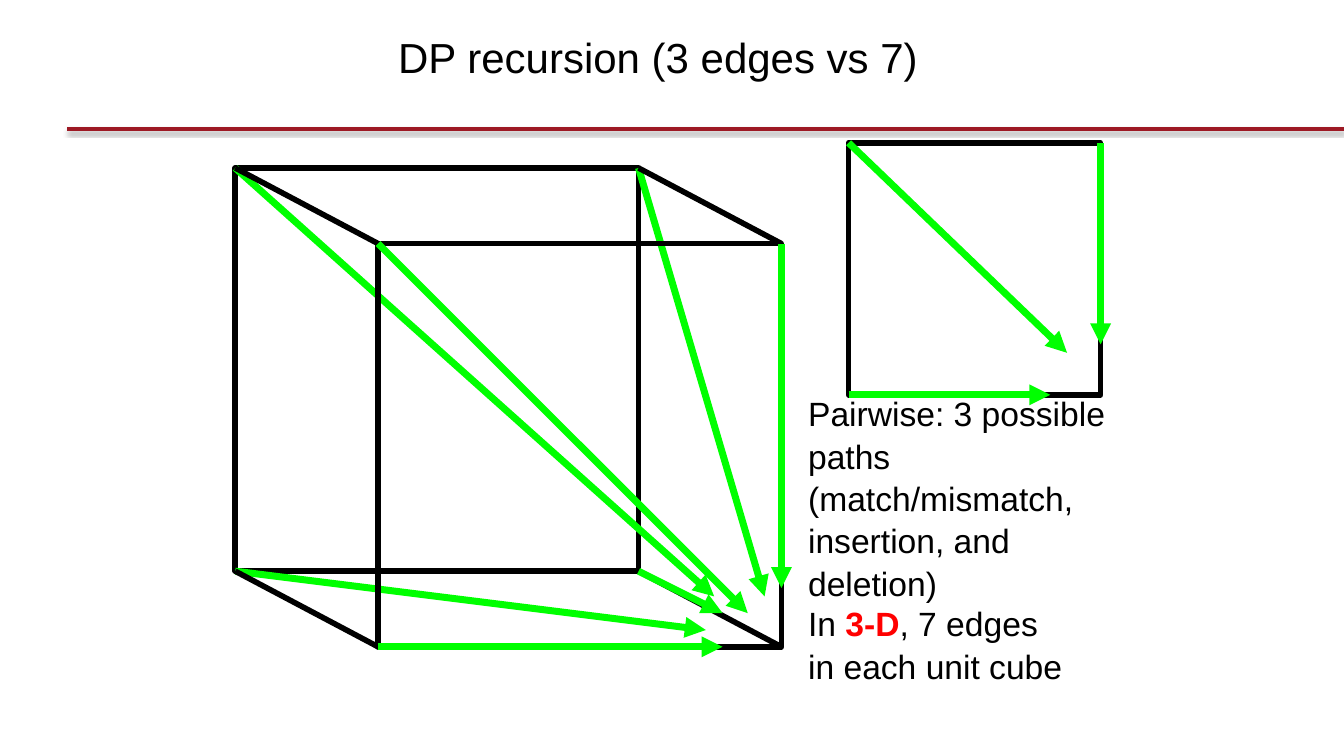
from lxml import etree
from pptx import Presentation, util as u
from pptx.dml.color import RGBColor
from pptx.enum import shapes, text
from pptx.oxml import ns

theme = {
    "font": "Arial", "title": 30, "body": 24,
    "ink": "000000", "path": "00FF00", "rule": "9D1924", "key": "FF0000",
    "edge": 4, "arrow": 5, "bar": 3,
}
cell = u.Inches(1) / 12

deck = Presentation()
deck.slide_width, deck.slide_height = u.Inches(13.33), u.Inches(7.5)
slide = deck.slides.add_slide(deck.slide_layouts[5])


def link(start, end, hue, width, head=False):
    ends = [round(n * cell) for n in (*start, *end)]
    line = slide.shapes.add_connector(shapes.MSO_CONNECTOR.STRAIGHT, *ends)
    line.line.color.rgb = RGBColor.from_string(theme[hue])
    line.line.width = u.Pt(theme[width])
    if head:
        etree.SubElement(line.line._get_or_add_ln(), ns.qn("a:tailEnd"), type="triangle")
    return etree.SubElement(line._element.spPr, ns.qn("a:effectLst"))


def write(para, words, size, hue="ink", bold=False):
    run = para.add_run()
    run.text = words
    looks = {"name": theme["font"], "size": u.Pt(theme[size]), "bold": bold}
    for key, value in looks.items():
        setattr(run.font, key, value)
    run.font.color.rgb = RGBColor.from_string(theme[hue])


glow = link((8, 15.4), (160, 15.4), "rule", "bar")
shade = etree.SubElement(glow, ns.qn("a:outerShdw"), blurRad=str(u.Pt(3.1)),
                         dist=str(u.Pt(1.6)), dir="5400000", rotWithShape="0")
black = etree.SubElement(shade, ns.qn("a:srgbClr"), val=theme["ink"])
etree.SubElement(black, ns.qn("a:alpha"), val="38000")

title = slide.shapes.title
place = {"left": 2.67, "top": 0.3, "width": 7.83, "height": 0.59}
for key, value in place.items():
    setattr(title, key, u.Inches(value))
frame = title.text_frame
layout = {"margin_left": 0, "margin_right": 0, "margin_top": 0, "margin_bottom": 0,
          "word_wrap": True, "vertical_anchor": text.MSO_ANCHOR.MIDDLE}
for key, value in layout.items():
    setattr(frame, key, value)
head = frame.paragraphs[0]
head.alignment = text.PP_ALIGN.CENTER
head.line_spacing = 0.9
write(head, "DP recursion (3 edges vs 7) ", "title")

side, deep, rise = 48, 17, 9
back, front, flat = (28, 20), (28 + deep, 20 + rise), (101, 17)
layers = [
    (back, side, [((76, 20), (91, 71)), ((28, 20), (85, 71)), ((28, 68), (84, 75))]),
    (front, side, [((76, 68), (86, 73)), ((45, 77), (86, 77)),
                   ((93, 29), (93, 70)), ((45, 29), (89, 73))]),
    (flat, 30, [((131, 17), (131, 41)), ((101, 17), (127, 42)), ((101, 47), (125, 47))]),
]
for spot, size, paths in layers:
    box = [round(n * cell) for n in (*spot, size, size)]
    face = slide.shapes.add_shape(shapes.MSO_SHAPE.RECTANGLE, *box)
    face.shadow.inherit = False
    face.fill.background()
    face.line.color.rgb = RGBColor.from_string(theme["ink"])
    face.line.width = u.Pt(theme["edge"])
    if spot == front:
        for x in (back[0] + side, back[0]):
            for y in (back[1] + side, back[1]):
                link((x, y), (x + deep, y + rise), "ink", "edge")
    for start, end in paths:
        link(start, end, "path", "arrow", True)

notes = [
    ((95, 71, 33, 10.9), [("In ", "ink", False), ("3-D", "key", True),
                          (", 7 edges in each unit cube", "ink", False)]),
    ((95, 46, 38, 25.4), [("Pairwise: 3 possible paths (match/mismatch, "
                           "insertion, and deletion)", "ink", False)]),
]
for box, runs in notes:
    note = slide.shapes.add_textbox(*[round(n * cell) for n in box])
    note.text_frame.word_wrap = True
    para = note.text_frame.paragraphs[0]
    para.line_spacing = 1.05
    for words, hue, bold in runs:
        write(para, words, "body", hue, bold)

deck.save("out.pptx")
